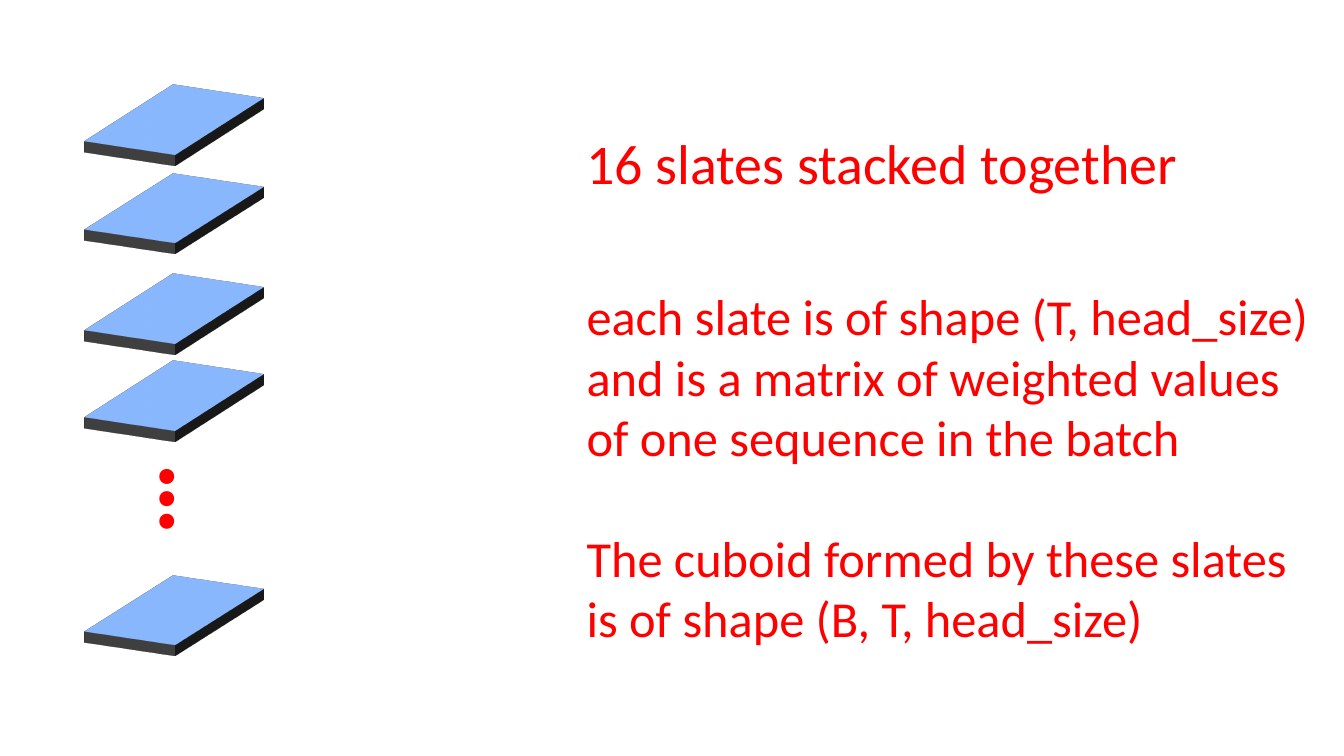
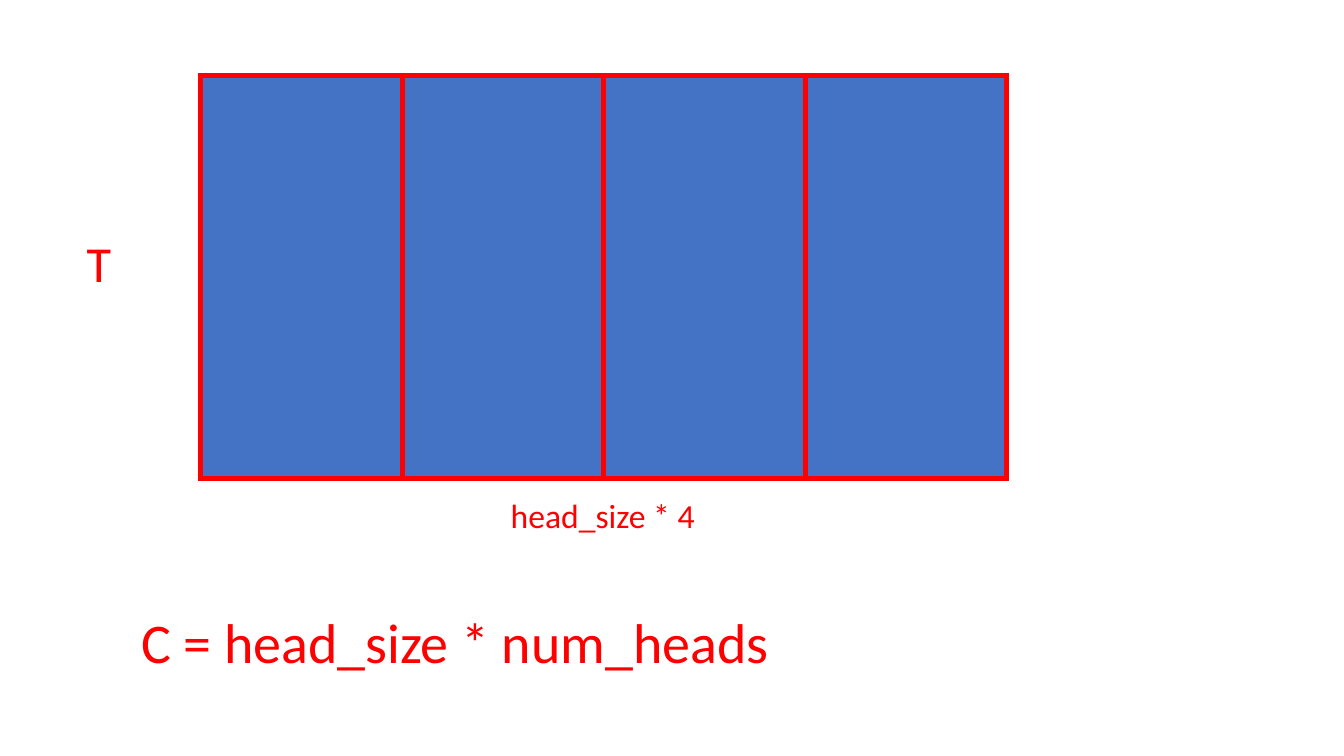
from dataclasses import dataclass

from lxml import etree
from pptx import Presentation
from pptx.dml.color import RGBColor
from pptx.enum.shapes import MSO_SHAPE
from pptx.enum.text import MSO_ANCHOR, MSO_AUTO_SIZE, PP_ALIGN
from pptx.oxml.ns import qn
from pptx.util import Emu, Pt

RECTANGLE = MSO_SHAPE.RECTANGLE
TOP = MSO_ANCHOR.TOP
NO_AUTOFIT = MSO_AUTO_SIZE.NONE
LEFT = PP_ALIGN.LEFT

EMU_PER_PX = 9525
SLIDE_WIDTH, SLIDE_HEIGHT = 1280, 720
CONTENT_LAYOUT, TITLE_LAYOUT = 1, 5

FONT = "Calibri"
RED = "FF0000"
BLUE = "4472C4"
SLATE_LINE = "1E3256"
SLATE_SIDE = "808080"
TITLE_PT, BODY_PT, LABEL_PT, ELLIPSIS_PT = 40, 36, 24, 72
GROUP_GAP_PT = 43

SLATE_TOPS = (18, 102, 198, 281, 485)
SLATE_DEPTH = 11
HEAD_COUNT = 4


@dataclass(frozen=True)
class Box:
    """Position and size in px."""

    left: int
    top: int
    width: int
    height: int


SLATE_NOTES = (
    (
        "each slate is of shape (T, head_size)",
        "and is a matrix of weighted values",
        "of one sequence in the batch",
    ),
    (
        "The cuboid formed by these slates",
        "is of shape (B, T, head_size)",
    ),
)


def px(length: int) -> Emu:
    """Turn px into EMU."""
    return Emu(length * EMU_PER_PX)


def paint(color_format, color: str) -> None:
    """Apply a hex colour to a fill, a line or a font."""
    color_format.rgb = RGBColor.from_string(color)


def place(shape, box: Box) -> None:
    """Move and size a shape."""
    shape.left, shape.top = px(box.left), px(box.top)
    shape.width, shape.height = px(box.width), px(box.height)


def write(shape, groups, size: int, bold: bool = False) -> None:
    """Write groups of red lines, with one line of space between groups."""
    frame = shape.text_frame
    frame.word_wrap = True
    frame.auto_size = NO_AUTOFIT
    frame.vertical_anchor = TOP
    paragraph = None
    for group_index, lines in enumerate(groups):
        for line_index, line in enumerate(lines):
            paragraph = frame.paragraphs[0] if paragraph is None else frame.add_paragraph()
            paragraph.alignment = LEFT
            opens_group = group_index > 0 and line_index == 0
            paragraph.space_before = Pt(GROUP_GAP_PT if opens_group else 0)
            properties = paragraph._p.get_or_add_pPr()
            properties.set("marL", "0")
            properties.set("indent", "0")
            etree.SubElement(properties, qn("a:buNone"))
            run = paragraph.add_run()
            run.text = line
            run.font.name = FONT
            run.font.size = Pt(size)
            run.font.bold = bold
            paint(run.font.color, RED)


def add_title(slide, text: str, box: Box) -> None:
    """Fill the title placeholder."""
    title = slide.shapes.title
    place(title, box)
    write(title, ((text,),), TITLE_PT)


def add_label(slide, text: str, box: Box, size: int, bold: bool = False):
    """Add a text box with one line."""
    label = slide.shapes.add_textbox(
        px(box.left), px(box.top), px(box.width), px(box.height)
    )
    write(label, ((text,),), size, bold)
    return label


def add_block(slide, box: Box, line_color: str, line_pt: float):
    """Draw a blue rectangle with square corners."""
    block = slide.shapes.add_shape(
        RECTANGLE, px(box.left), px(box.top), px(box.width), px(box.height)
    )
    block.shadow.inherit = False
    block.fill.solid()
    paint(block.fill.fore_color, BLUE)
    paint(block.line.color, line_color)
    block.line.width = Pt(line_pt)
    etree.SubElement(block.line._get_or_add_ln(), qn("a:miter"), lim="800000")
    return block


def extrude(block) -> None:
    """Lay a rectangle down and give it depth."""
    properties = block._element.spPr
    scene = etree.SubElement(properties, qn("a:scene3d"))
    etree.SubElement(scene, qn("a:camera"), prst="isometricOffAxis2Top")
    etree.SubElement(scene, qn("a:lightRig"), rig="threePt", dir="t")
    solid = etree.SubElement(properties, qn("a:sp3d"), extrusionH=str(px(SLATE_DEPTH)))
    side = etree.SubElement(solid, qn("a:extrusionClr"))
    etree.SubElement(side, qn("a:srgbClr"), val=SLATE_SIDE)


def build_slates(presentation) -> None:
    """Build the slide of stacked slates."""
    slide = presentation.slides.add_slide(presentation.slide_layouts[CONTENT_LAYOUT])
    add_title(slide, "16 slates stacked together", Box(549, 118, 588, 104))
    notes = slide.placeholders[1]
    place(notes, Box(549, 267, 713, 359))
    write(notes, SLATE_NOTES, BODY_PT)
    for top in SLATE_TOPS:
        extrude(add_block(slide, Box(118, top, 96, 192), SLATE_LINE, 1))
    ellipsis = add_label(slide, "…", Box(147, 413, 88, 126), ELLIPSIS_PT, bold=True)
    ellipsis.text_frame.word_wrap = False
    ellipsis.rotation = 90


def build_heads(presentation) -> None:
    """Build the slide of concatenated heads."""
    slide = presentation.slides.add_slide(presentation.slide_layouts[TITLE_LAYOUT])
    add_title(slide, "C = head_size * num_heads", Box(125, 574, 622, 74))
    for index in range(HEAD_COUNT):
        add_block(slide, Box(191 + index * 192, 72, 192, 384), RED, 3.5)
    add_label(slide, "T", Box(73, 216, 84, 68), BODY_PT)
    add_label(slide, "head_size * 4", Box(477, 467, 218, 48), LABEL_PT)


def main() -> None:
    """Build and save the presentation."""
    presentation = Presentation()
    presentation.slide_width = px(SLIDE_WIDTH)
    presentation.slide_height = px(SLIDE_HEIGHT)
    build_slates(presentation)
    build_heads(presentation)
    presentation.save("out.pptx")


if __name__ == "__main__":
    main()
